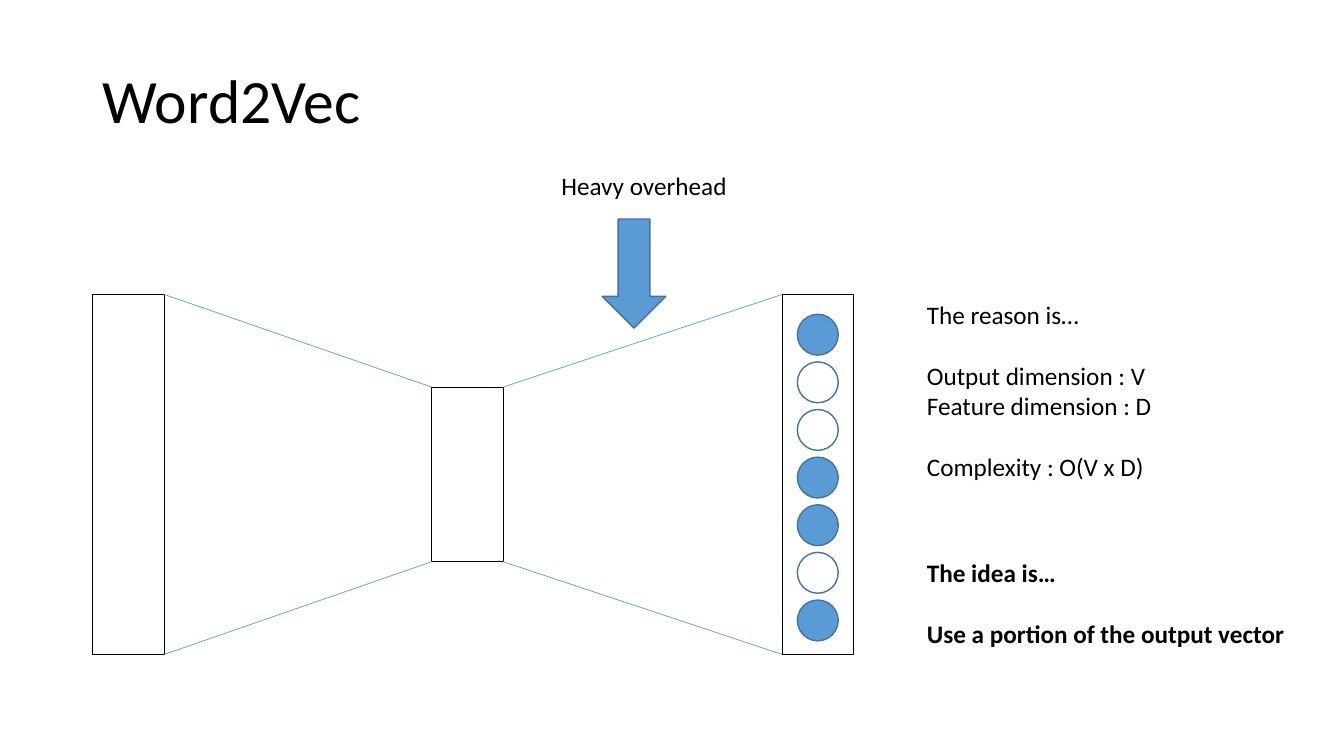
from lxml.etree import SubElement
from pptx import Presentation
from pptx.dml.color import RGBColor
from pptx.enum.shapes import MSO_CONNECTOR, MSO_SHAPE
from pptx.enum.text import MSO_ANCHOR, PP_ALIGN
from pptx.oxml.ns import qn
from pptx.util import Cm, Pt

COLORS = {"text": "000000", "blue": "5B9BD5", "blue_edge": "43739E"}
FONT = "Calibri"
BLANK_LINE = 22
LAYER_WIDTH = 1.8
OUTPUT_UNITS = [True, False, False, True, True, False, True]


def color(name):
    return RGBColor.from_string(COLORS[name])


def add_text(slide, box, lines, size=18, bold=False, align=PP_ALIGN.LEFT,
             anchor=MSO_ANCHOR.TOP, wrap=True, line_spacing=None):
    """Place lines, each a pair of text and space before in points."""
    frame = slide.shapes.add_textbox(*(Cm(length) for length in box)).text_frame
    frame.word_wrap = wrap
    frame.vertical_anchor = anchor
    for index, (text, space_before) in enumerate(lines):
        paragraph = frame.paragraphs[0] if index == 0 else frame.add_paragraph()
        paragraph.alignment = align
        paragraph.line_spacing = line_spacing
        if space_before:
            paragraph.space_before = Pt(space_before)
        run = paragraph.add_run()
        run.text = text
        run.font.name = FONT
        run.font.size = Pt(size)
        run.font.bold = bold
        run.font.color.rgb = color("text")


def add_figure(slide, preset, box, line, line_width, fill=None):
    shape = slide.shapes.add_shape(preset, *(Cm(length) for length in box))
    shape.shadow.inherit = False
    if fill:
        shape.fill.solid()
        shape.fill.fore_color.rgb = color(fill)
    else:
        shape.fill.background()
    shape.line.color.rgb = color(line)
    shape.line.width = Pt(line_width)


def add_edge(slide, start, end):
    connector = slide.shapes.add_connector(
        MSO_CONNECTOR.STRAIGHT, *(Cm(length) for length in start + end))
    connector.line.color.rgb = color("blue")
    connector.line.width = Pt(0.5)
    SubElement(connector._element.spPr, qn("a:effectLst"))


def add_output_units(slide, left, top):
    diameter, pitch = 1.03, 1.2
    for index, active in enumerate(OUTPUT_UNITS):
        box = (left + (LAYER_WIDTH - diameter) / 2, top + 0.5 + index * pitch,
               diameter, diameter)
        add_figure(slide, MSO_SHAPE.OVAL, box, "blue_edge", 1,
                   fill="blue" if active else None)


def add_network(slide, left, top, width, height):
    """Draw input, hidden and output layers joined at their corners."""
    hidden_height = 4.4
    hidden_left = left + 8.54
    hidden_top = top + (height - hidden_height) / 2
    output_left = left + width - LAYER_WIDTH
    layers = [(left, top, height), (hidden_left, hidden_top, hidden_height),
              (output_left, top, height)]
    for layer_left, layer_top, layer_height in layers:
        add_figure(slide, MSO_SHAPE.RECTANGLE,
                   (layer_left, layer_top, LAYER_WIDTH, layer_height), "text", 0.75)
    for source, target in zip(layers, layers[1:]):
        start_x, end_x = source[0] + LAYER_WIDTH, target[0]
        add_edge(slide, (start_x, source[1]), (end_x, target[1]))
        add_edge(slide, (start_x, source[1] + source[2]),
                 (end_x, target[1] + target[2]))
    add_output_units(slide, output_left, top)


def add_overhead_callout(slide, left, top, width):
    add_text(slide, (left, top, width, 1.03), [("Heavy overhead", 0)],
             align=PP_ALIGN.CENTER, wrap=False)
    add_figure(slide, MSO_SHAPE.DOWN_ARROW, (left + 1.31, top + 1.35, 1.6, 2.75),
               "blue_edge", 1, fill="blue")


def add_explanation(slide, left, top, width):
    add_text(slide, (left, top, width, 4.88), [
        ("The reason is…", 0),
        ("Output dimension : V", BLANK_LINE),
        ("Feature dimension : D", 0),
        ("Complexity : O(V x D)", BLANK_LINE),
    ])
    add_text(slide, (left, top + 6.51, width, 2.56), [
        ("The idea is…", 0),
        ("Use a portion of the output vector", BLANK_LINE),
    ], bold=True)


def main():
    presentation = Presentation()
    presentation.slide_width = Cm(33.87)
    presentation.slide_height = Cm(19.05)
    slide = presentation.slides.add_slide(presentation.slide_layouts[6])
    add_text(slide, (2.34, 0.76, 29.21, 3.68), [("Word2Vec", 0)], size=44,
             anchor=MSO_ANCHOR.MIDDLE, line_spacing=0.9)
    add_network(slide, 2.34, 7.42, 19.17, 9.07)
    add_overhead_callout(slide, 13.87, 4.17, 4.72)
    add_explanation(slide, 23.11, 7.42, 9.65)
    presentation.save("out.pptx")


if __name__ == "__main__":
    main()
